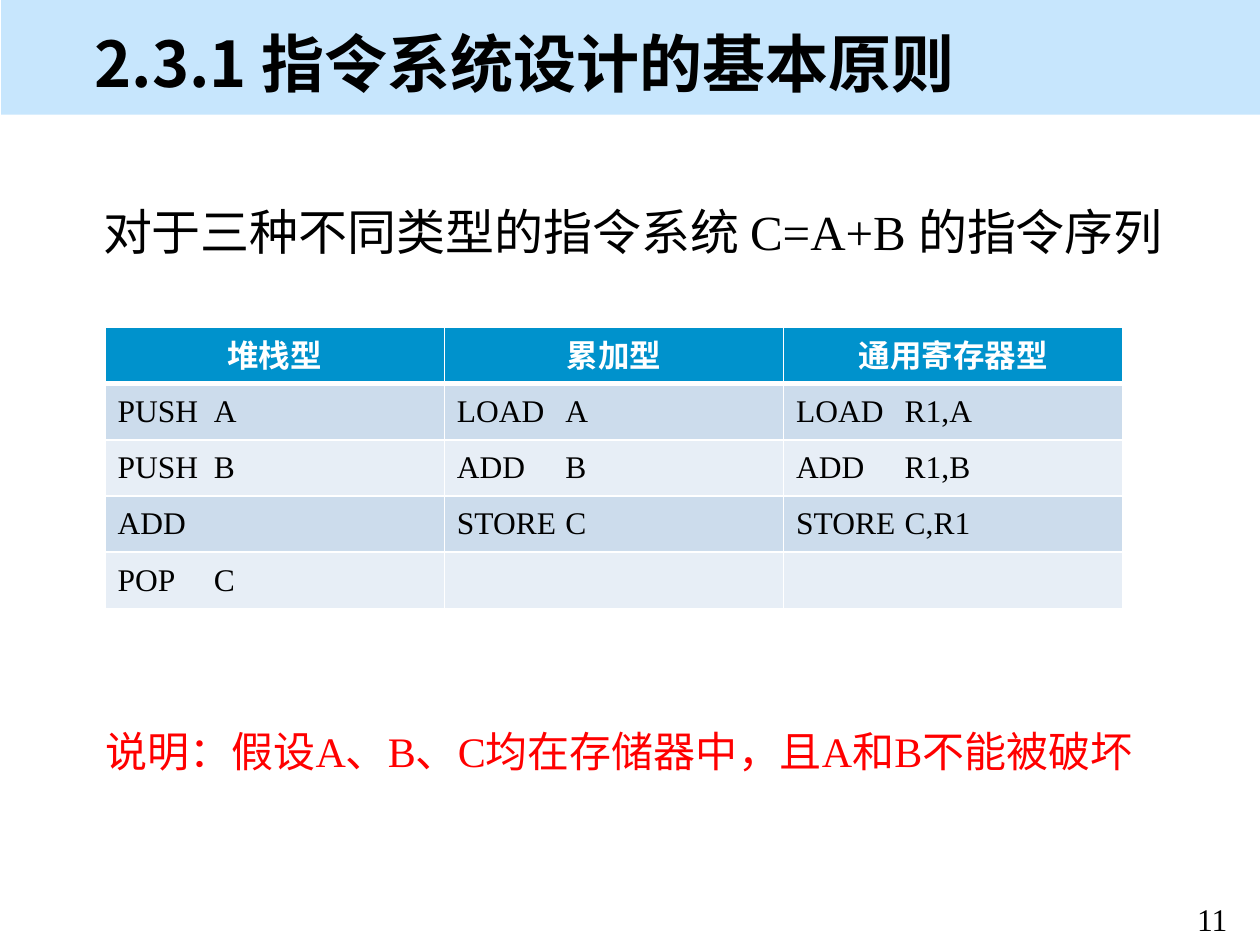
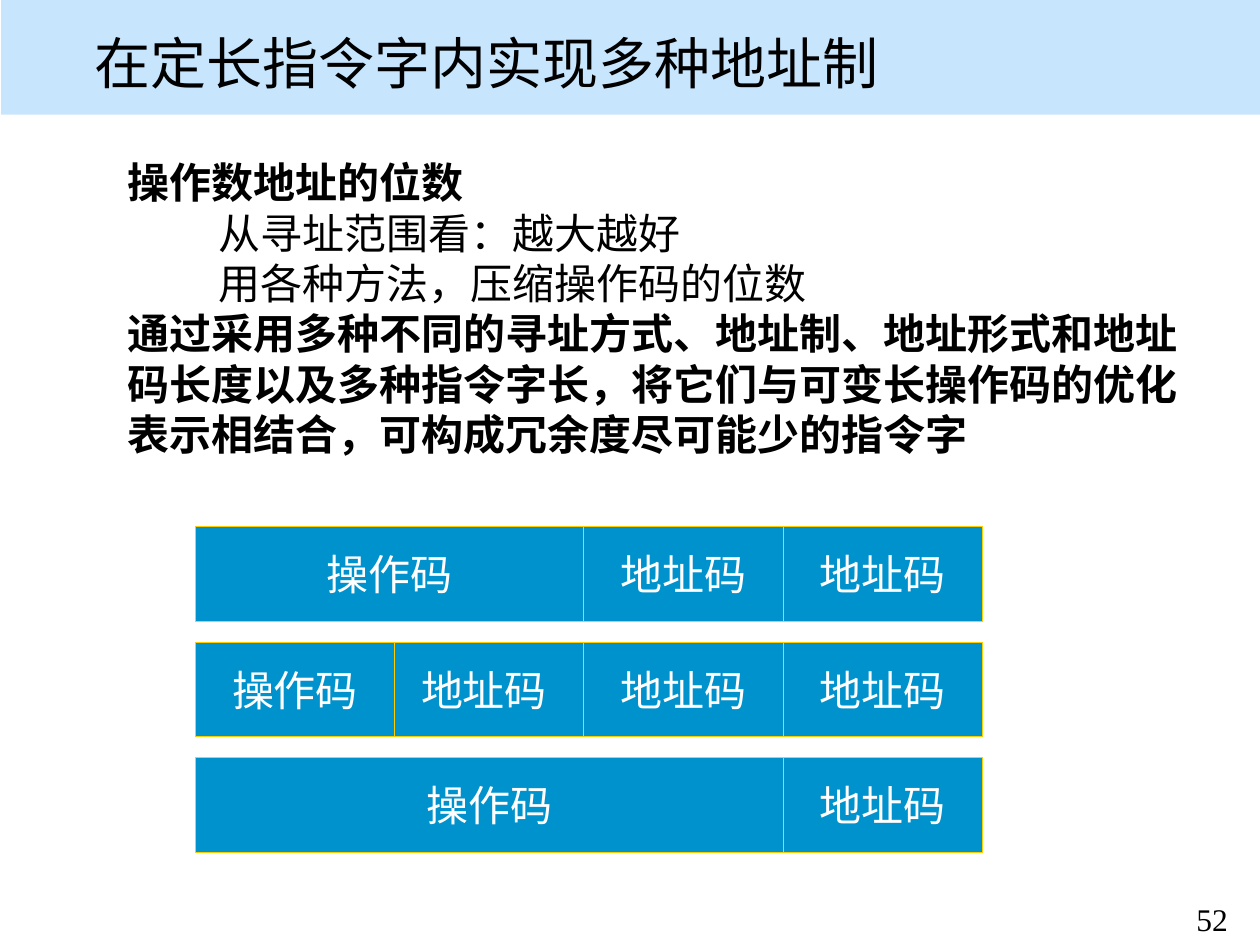
from dataclasses import dataclass

from lxml import etree
from pptx import Presentation
from pptx.dml.color import RGBColor
from pptx.enum.shapes import MSO_SHAPE
from pptx.enum.text import MSO_ANCHOR, PP_ALIGN
from pptx.oxml.ns import qn
from pptx.util import Pt

RECTANGLE = MSO_SHAPE.RECTANGLE
LEFT, CENTER = PP_ALIGN.LEFT, PP_ALIGN.CENTER
TOP, MIDDLE = MSO_ANCHOR.TOP, MSO_ANCHOR.MIDDLE
TITLE_ONLY = 5


@dataclass(frozen=True)
class Theme:
    black: str = "000000"
    white: str = "FFFFFF"
    red: str = "FF0000"
    band: str = "C7E6FD"
    blue: str = "0092CC"
    gold: str = "FFCC00"
    stripes: tuple = ("CCDCEC", "E7EEF6")
    chinese: str = "Noto Sans CJK SC"
    serif: str = "Times New Roman"
    sans: str = "Roboto"
    small: int = 18
    body: int = 24
    lead: int = 28
    title: int = 32
    section: int = 36
    leading: float = 1.2


class Deck:
    """Holds the theme and the current slide, and draws each kind of element."""

    def __init__(self, theme):
        self.theme = theme
        self.presentation = Presentation()
        self.presentation.slide_width = Pt(720)
        self.presentation.slide_height = Pt(540)
        self.slide = None

    def add_slide(self, title, number, size, bold=False):
        theme = self.theme
        layout = self.presentation.slide_layouts[TITLE_ONLY]
        self.slide = self.presentation.slides.add_slide(layout)
        band = self.box(0.75, 0, 719.25, 65.5, theme.band)
        self.slide.shapes._spTree.insert(2, band._element)
        heading = self.slide.shapes.title
        heading.left, heading.top = Pt(46.8), Pt(11.5)
        heading.width, heading.height = Pt(659.5), Pt(48)
        heading.text_frame.word_wrap = True
        heading.text_frame.vertical_anchor = MIDDLE
        self.add_words(heading.text_frame.paragraphs[0], title, size, theme.black,
                       theme.chinese, bold)
        self.text(667.5, 510.5, 50.4, 24, [(str(number), False, 0)],
                  theme.small, theme.black, theme.serif, CENTER)

    def add_words(self, paragraph, words, size, color, font, bold=False,
                  align=LEFT, spacing=None):
        paragraph.alignment = align
        paragraph.space_before = Pt(0)
        if spacing:
            paragraph.line_spacing = Pt(spacing)
        run = paragraph.add_run()
        run.text = words
        run.font.size = Pt(size)
        run.font.bold = bold
        run.font.color.rgb = RGBColor.from_string(color)
        run.font.name = font
        east_asian = etree.SubElement(run._r.get_or_add_rPr(), qn("a:ea"))
        east_asian.set("typeface", self.theme.chinese)

    def text(self, left, top, width, height, lines, size, color, font,
             align=LEFT):
        area = self.slide.shapes.add_textbox(Pt(left), Pt(top), Pt(width), Pt(height))
        frame = area.text_frame
        frame.word_wrap = True
        frame.vertical_anchor = TOP
        for index, (words, bold, indent) in enumerate(lines):
            paragraph = frame.add_paragraph() if index else frame.paragraphs[0]
            if indent:
                paragraph._p.get_or_add_pPr().set("marL", str(Pt(indent)))
            self.add_words(paragraph, words, size, color, font, bold, align,
                           size * self.theme.leading)

    def box(self, left, top, width, height, fill, line=None, label=None):
        theme = self.theme
        shape = self.slide.shapes.add_shape(
            RECTANGLE, Pt(left), Pt(top), Pt(width), Pt(height))
        shape.shadow.inherit = False
        shape.fill.solid()
        shape.fill.fore_color.rgb = RGBColor.from_string(fill)
        if line:
            shape.line.color.rgb = RGBColor.from_string(line)
            shape.line.width = Pt(0.75)
        else:
            shape.line.fill.background()
        if label:
            shape.text_frame.vertical_anchor = MIDDLE
            self.add_words(shape.text_frame.paragraphs[0], label, theme.body,
                           theme.white, theme.sans, align=CENTER)
        return shape

    def borders(self, cell, row):
        properties = cell._tc.get_or_add_tcPr()
        heavy = {0: "lnB", 1: "lnT"}.get(row)
        for side in ("lnL", "lnR", "lnT", "lnB"):
            edge = etree.SubElement(properties, qn(f"a:{side}"))
            edge.set("w", str(Pt(3 if side == heavy else 1)))
            fill = etree.SubElement(edge, qn("a:solidFill"))
            etree.SubElement(fill, qn("a:srgbClr")).set("val", self.theme.white)

    def tab_stop(self, paragraph, position):
        stops = etree.SubElement(paragraph._p.get_or_add_pPr(), qn("a:tabLst"))
        stop = etree.SubElement(stops, qn("a:tab"))
        stop.set("pos", str(Pt(position)))
        stop.set("algn", "l")

    def table(self, left, top, width, height, rows, stops):
        theme = self.theme
        grid = self.slide.shapes.add_table(
            len(rows), len(rows[0]), Pt(left), Pt(top), Pt(width), Pt(height)).table
        grid.first_row = grid.horz_banding = False
        for row, entries in enumerate(rows):
            for column, words in enumerate(entries):
                cell = grid.cell(row, column)
                cell.vertical_anchor = MIDDLE
                self.borders(cell, row)
                cell.fill.solid()
                fill = theme.stripes[(row - 1) % 2] if row else theme.blue
                cell.fill.fore_color.rgb = RGBColor.from_string(fill)
                paragraph = cell.text_frame.paragraphs[0]
                if not row:
                    self.add_words(paragraph, words, theme.small, theme.white,
                                   theme.serif, True, CENTER, theme.body)
                elif words:
                    self.tab_stop(paragraph, stops[column])
                    self.add_words(paragraph, words, theme.small, theme.black,
                                   theme.serif)
                else:
                    paragraph.font.size = Pt(theme.small)


def design_principles(deck):
    """Compare the instruction sequences of three instruction set types."""
    theme = deck.theme
    deck.add_slide("2.3.1 指令系统设计的基本原则", 11, theme.section, True)
    sequences = [
        ("堆栈型", "累加型", "通用寄存器型"),
        ("PUSH\tA", "LOAD\tA", "LOAD\tR1,A"),
        ("PUSH\tB", "ADD\tB", "ADD\tR1,B"),
        ("ADD", "STORE\tC", "STORE\tC,R1"),
        ("POP\tC", "", ""),
    ]
    deck.table(60, 187.2, 581.7, 160.5, sequences, (55, 62, 62))
    deck.text(53.3, 411, 607, 65, [
        ("说明：假设A、B、C均在存储器中，且A和B不能被破坏", False, 0),
    ], theme.body, theme.red, theme.serif)
    deck.text(51.8, 111.5, 622, 75, [
        ("对于三种不同类型的指令系统 C=A+B 的指令序列", False, 0),
    ], theme.lead, theme.black, theme.serif)


def address_formats(deck):
    """Show fixed-length instruction words with one to three addresses."""
    theme = deck.theme
    deck.add_slide("在定长指令字内实现多种地址制", 52, theme.title)
    word_left, word_right, first_top = 111.6, 561.6, 301
    field_width, field_height, row_step = 114, 54, 66
    for row, address_count in enumerate((2, 3, 1)):
        top = first_top + row * row_step
        for place in range(1, address_count + 1):
            deck.box(word_right - place * field_width, top, field_width,
                     field_height, theme.blue, theme.gold, "地址码")
        opcode_width = word_right - address_count * field_width - word_left
        deck.box(word_left, top, max(opcode_width, field_width), field_height,
                 theme.blue, theme.gold, "操作码")
    deck.text(65.5, 86, 635, 180, [
        ("操作数地址的位数", True, 0),
        ("从寻址范围看：越大越好", False, 52.4),
        ("用各种方法，压缩操作码的位数", False, 52.4),
        ("通过采用多种不同的寻址方式、地址制、地址形式和地址码长度以及多种指令字长，"
         "将它们与可变长操作码的优化表示相结合，可构成冗余度尽可能少的指令字", True, 0),
    ], theme.body, theme.black, theme.chinese)


def main():
    """Build both slides and save the deck."""
    deck = Deck(Theme())
    design_principles(deck)
    address_formats(deck)
    deck.presentation.save("out.pptx")


if __name__ == "__main__":
    main()
